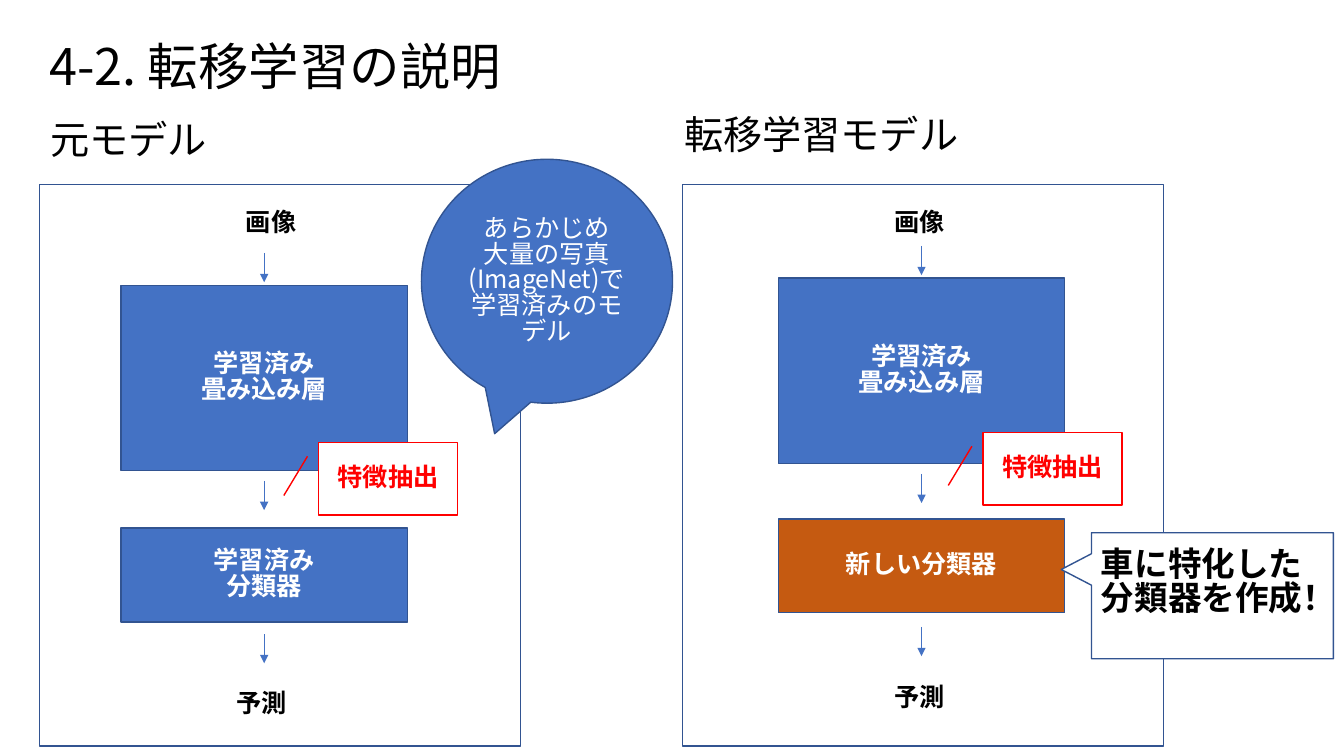
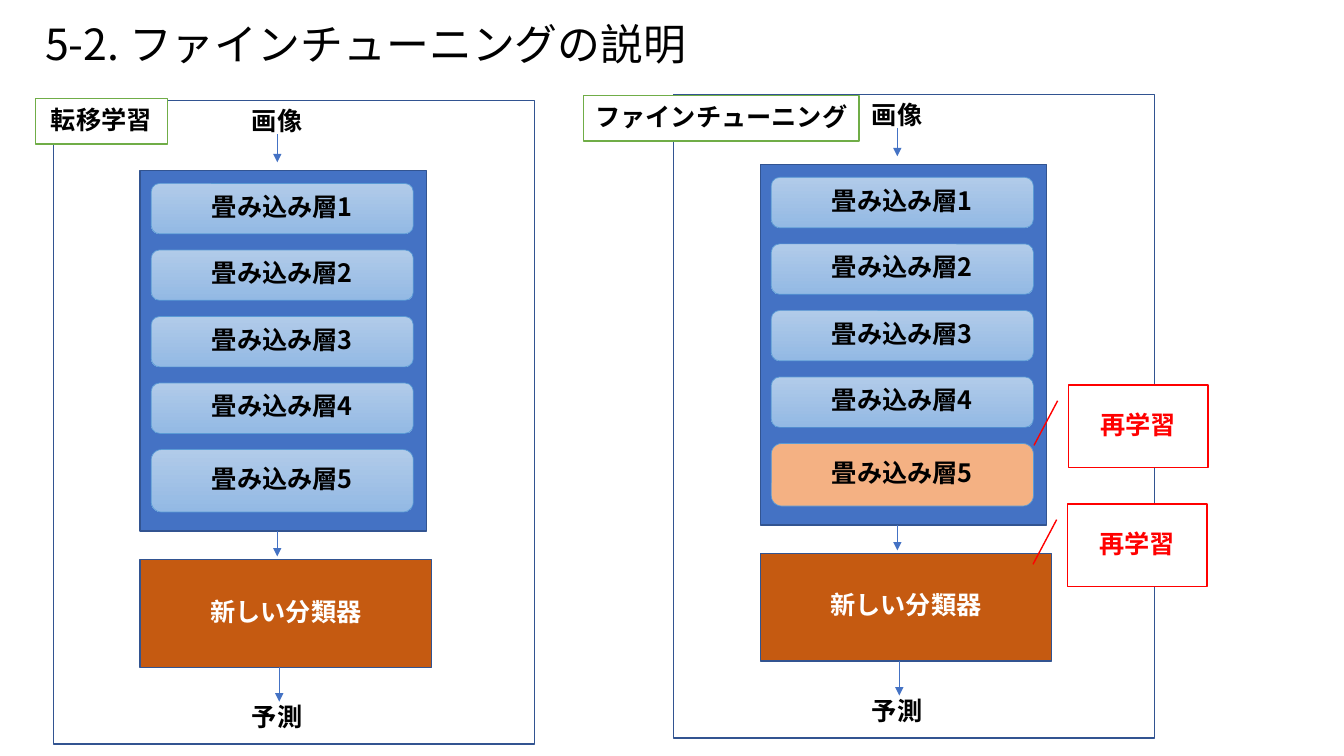
from lxml import etree
from pptx import Presentation, util as u
from pptx.dml.color import RGBColor
from pptx.enum import shapes, text
from pptx.oxml.ns import qn

PX = 9144
FONT = "Noto Sans CJK JP"
WHITE = RGBColor(0xFF, 0xFF, 0xFF)
BLACK = RGBColor(0x00, 0x00, 0x00)
BLUE = RGBColor(0x44, 0x72, 0xC4)
NAVY = RGBColor(0x32, 0x54, 0x91)
SKY = RGBColor(0x5B, 0x9B, 0xD5)
LAYER_TOP = RGBColor(0xB1, 0xCB, 0xE9)
LAYER_BOTTOM = RGBColor(0x93, 0xB9, 0xE4)
ORANGE = RGBColor(0xC5, 0x5A, 0x11)
PEACH = RGBColor(0xF4, 0xB1, 0x83)
GREEN = RGBColor(0x70, 0xAD, 0x47)
RED = RGBColor(0xFF, 0x00, 0x00)
RECT = shapes.MSO_SHAPE.RECTANGLE
ROUND = shapes.MSO_SHAPE.ROUNDED_RECTANGLE
NOTE = shapes.MSO_SHAPE.LINE_CALLOUT_1
LEFT = text.PP_ALIGN.LEFT
CENTER = text.PP_ALIGN.CENTER
NOTE_ADJUSTMENTS = (0.19, -0.08, 0.73, -0.25)


def add_text(page, place, lines, size=18, bold=True, color=BLACK, align=LEFT,
             spacing=0.85, wrap=True, box=None):
    if box is None:
        box = page.shapes.add_textbox(*(n * PX for n in place))
    frame = box.text_frame
    frame.word_wrap = wrap
    for index, line in enumerate(lines):
        para = frame.add_paragraph() if index else frame.paragraphs[0]
        para.add_run().text = line
        para.alignment = align
        para.line_spacing = spacing
        para.font.size = u.Pt(size)
        para.font.bold = bold
        para.font.color.rgb = color
        para.font.name = FONT
        east_asian = etree.SubElement(para._p.pPr.defRPr, qn("a:ea"))
        east_asian.set("typeface", FONT)


def add_block(page, kind, place, fill, line, lines=(), color=WHITE, bold=True, weight=1):
    block = page.shapes.add_shape(kind, *(n * PX for n in place))
    block.shadow.inherit = False
    if fill is None:
        block.fill.gradient()
        block.fill.gradient_angle = 270
        for stop, shade in zip(block.fill.gradient_stops, (LAYER_TOP, LAYER_BOTTOM)):
            stop.color.rgb = shade
    else:
        block.fill.solid()
        block.fill.fore_color.rgb = fill
    block.line.color.rgb = line
    block.line.width = u.Pt(weight)
    if kind == NOTE:
        for index, value in enumerate(NOTE_ADJUSTMENTS):
            block.adjustments[index] = value
    block.text_frame.vertical_anchor = text.MSO_ANCHOR.MIDDLE
    add_text(page, place, lines, bold=bold, color=color, align=CENTER, box=block)
    return block


deck = Presentation()
deck.slide_width = u.Inches(13.33)
deck.slide_height = u.Inches(7.5)
transfer, tuning = [deck.slides.add_slide(deck.slide_layouts[6]) for _ in range(2)]
arrows = []

add_text(transfer, (39, 43, 590, 68), ["4-2. 転移学習の説明"], 36, False, spacing=0.76)
add_text(tuning, (35, 27, 704, 68), ["5-2. ファインチューニングの説明"], 30.6, False, spacing=0.68)

models = [
    ("元モデル", (39, 117, 177, 57), 39, 120, 283, (234, 225), 682,
     524, BLUE, ["学習済み", "分類器"], (316, 439)),
    ("転移学習モデル", (667, 112, 295, 57), 677, 772, 276, (877, 877), 676,
     515, ORANGE, ["新しい分類器"], (975, 429)),
]
for (heading, heading_place, frame_left, left, top, label_lefts, output_top,
     classifier_top, classifier_fill, classifier_lines, note_corner) in models:
    add_text(transfer, heading_place, [heading], 28, False, align=CENTER, wrap=False)
    add_block(transfer, RECT, (frame_left, 183, 477, 557), WHITE, NAVY)
    for label, label_left, label_top in zip(("画像", "予測"), label_lefts, (204, output_top)):
        add_text(transfer, (label_left, label_top, 74, 40), [label])
    add_block(transfer, RECT, (left, top, 284, 184), BLUE, NAVY, ["学習済み", "畳み込み層"])
    add_block(transfer, RECT, (left, classifier_top, 284, 93), classifier_fill, NAVY,
              classifier_lines)
    add_block(transfer, NOTE, (*note_corner, 138, 72), WHITE, RED, ["特徴抽出"], RED)
    for offset in (-32, 194, 346):
        arrows.append((transfer, left + 142, top + offset, 29))

add_block(transfer, shapes.MSO_SHAPE.OVAL_CALLOUT, (418, 158, 249, 242), BLUE, NAVY,
          ["あらかじめ", "大量の写真(ImageNet)で学習済みのモデル"], bold=False)
bubble = add_block(transfer, shapes.MSO_SHAPE.RECTANGULAR_CALLOUT, (1140, 471, 125, 240),
                   WHITE, NAVY)
bubble.rotation = 90
add_text(transfer, (1082, 540, 269, 91), ["車に特化した", "分類器を作成！"], 24)

stacks = [
    (0, 0, None, "転移学習", (35, 98, 131, 45)),
    (615, -6, PEACH, "ファインチューニング", (579, 95, 273, 45)),
]
for dx, dy, last_fill, tag, tag_place in stacks:
    add_block(tuning, RECT, (53 + dx, 100 + dy, 477, 638), WHITE, NAVY)
    add_block(tuning, RECT, (139 + dx, 169 + dy, 284, 358), BLUE, NAVY)
    add_block(tuning, RECT, (139 + dx, 555 + dy, 289, 107), ORANGE, NAVY, ["新しい分類器"])
    for label, label_top in (("画像", 104), ("予測", 695)):
        add_text(tuning, (240 + dx, label_top + dy, 74, 40), [label])
    for layer in range(5):
        last = layer == 4
        add_block(tuning, ROUND, (150 + dx, 182 + 66 * layer + dy, 260, 62 if last else 50),
                  last_fill if last else None, SKY, [f"畳み込み層{layer + 1}"], BLACK, weight=0.5)
    add_block(tuning, RECT, tag_place, WHITE, GREEN, [tag], BLACK)
    for x, y, length in ((275, 133, 28), (275, 527, 25), (277, 662, 34)):
        arrows.append((tuning, x + dx, y + dy, length))

for left, top in ((1060, 382), (1059, 500)):
    add_block(tuning, NOTE, (left, top, 138, 82), WHITE, RED, ["再学習"], RED)

for page, x, y, length in arrows:
    arrow = page.shapes.add_connector(shapes.MSO_CONNECTOR.STRAIGHT,
                                      x * PX, y * PX, x * PX, (y + length) * PX)
    arrow.line.color.rgb = BLUE
    arrow.line.width = u.Pt(0.5)
    etree.SubElement(arrow.line._get_or_add_ln(), qn("a:tailEnd")).set("type", "triangle")
    etree.SubElement(arrow._element.spPr, qn("a:effectLst"))

deck.save("out.pptx")
